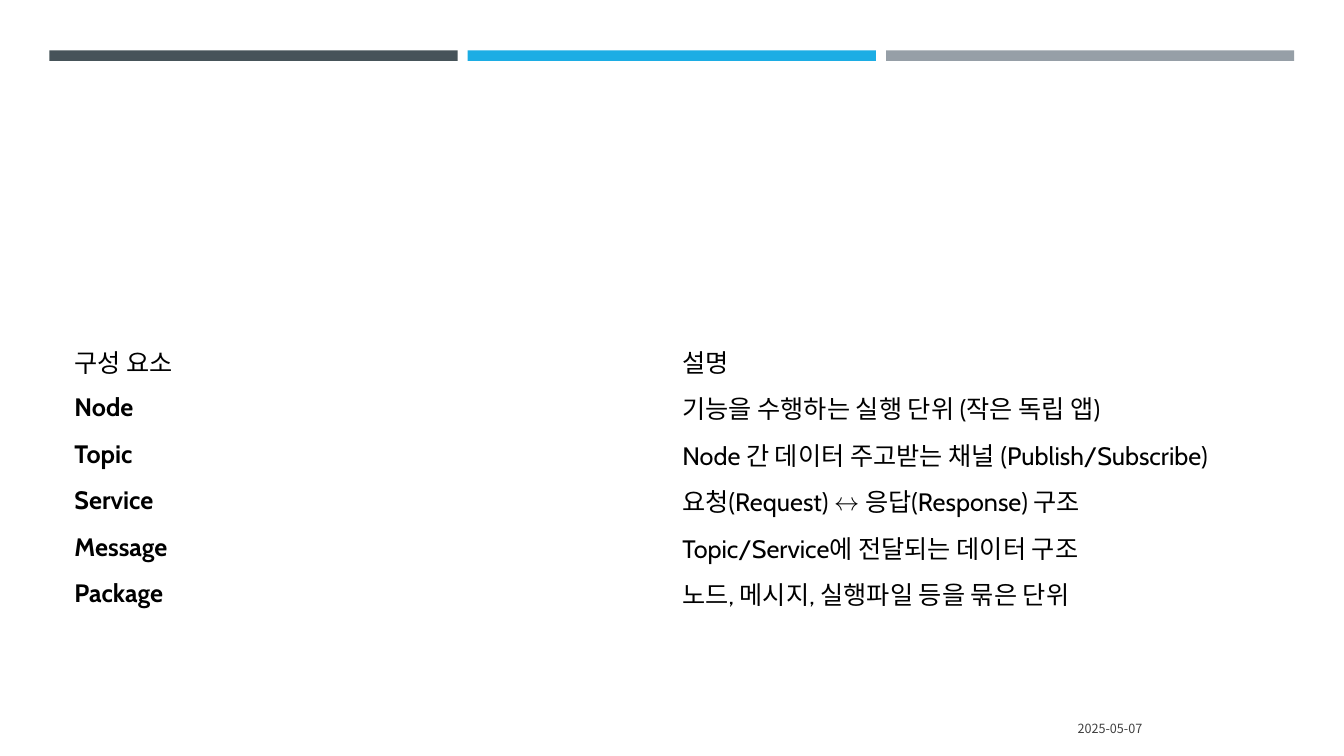
import pptx
import pptx.dml.color
import pptx.enum.shapes
import pptx.enum.text
import pptx.oxml
import pptx.oxml.ns
import pptx.util

Pt = pptx.util.Pt
MIDDLE = pptx.enum.text.MSO_ANCHOR.MIDDLE
KOREAN_FONT = "Noto Sans CJK KR"


def color(hex_string):
    return pptx.dml.color.RGBColor.from_string(hex_string)


def write(tf, text, size=18, font="Cabin", fill="000000", bold=False, align="LEFT"):
    p = tf.paragraphs[0]
    p.alignment = pptx.enum.text.PP_ALIGN[align]
    r = p.add_run()
    r.text = text
    r.font.size = Pt(size)
    r.font.bold = bold
    r.font.color.rgb = color(fill)
    r.font.name = font
    east_asian = pptx.oxml.parse_xml(
        f'<a:ea {pptx.oxml.ns.nsdecls("a")} typeface="{KOREAN_FONT}"/>')
    r.font._element.append(east_asian)


prs = pptx.Presentation()
prs.slide_width, prs.slide_height = Pt(960), Pt(540)
s = prs.slides.add_slide(prs.slide_layouts[6])

# Three bars across the top
for i, fill in enumerate(["465359", "1CADE4", "969FA7"]):
    bar = s.shapes.add_shape(pptx.enum.shapes.MSO_SHAPE.RECTANGLE,
                             Pt(35.3 + i * 298.8), Pt(36), Pt(291.6), Pt(7.5))
    bar.shadow.inherit = False
    bar.fill.solid()
    bar.fill.fore_color.rgb = color(fill)
    bar.line.fill.background()

# Table of components
rows = [
    ("구성 요소", "설명"),
    ("Node", "기능을 수행하는 실행 단위 (작은 독립 앱)"),
    ("Topic", "Node 간 데이터 주고받는 채널 (Publish/Subscribe)"),
    ("Service", "요청(Request) ↔ 응답(Response) 구조"),
    ("Message", "Topic/Service에 전달되는 데이터 구조"),
    ("Package", "노드, 메시지, 실행파일 등을 묶은 단위"),
]
table = s.shapes.add_table(len(rows), 2, Pt(46), Pt(241.2), Pt(868.4), Pt(172.8)).table
table.first_row = False
table.horz_banding = False
for i, row in enumerate(rows):
    for j, text in enumerate(row):
        cell = table.cell(i, j)
        cell.fill.background()
        cell.vertical_anchor = MIDDLE
        write(cell.text_frame, text, bold=i > 0 and j == 0)

# Date
sp = s.shapes.add_textbox(Pt(599), Pt(506.2), Pt(224), Pt(28.8))
tf = sp.text_frame
tf.word_wrap = True
tf.vertical_anchor = MIDDLE
write(tf, "2025-05-07", size=9, font=KOREAN_FONT, fill="404040", align="RIGHT")

prs.save("out.pptx")
